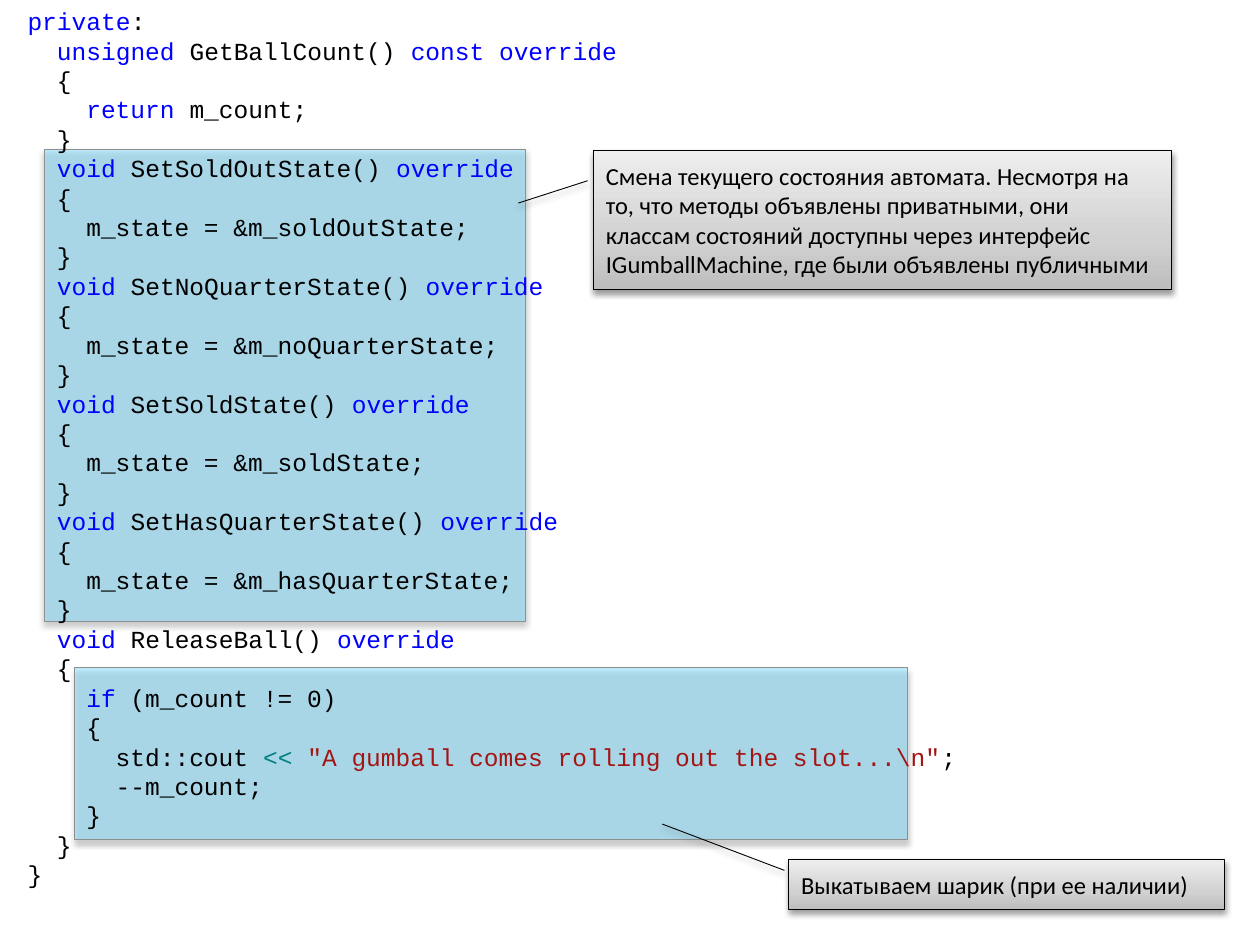
from copy import deepcopy
from dataclasses import dataclass

from lxml import etree
from pptx import Presentation, util as u
from pptx.dml.color import RGBColor
from pptx.enum import shapes, text
from pptx.oxml.ns import qn


@dataclass(frozen=True)
class Theme:
    plain: str = "000000"
    keyword: str = "0000FF"
    operator: str = "008080"
    string: str = "A31515"
    highlight: str = "85DFFF"
    highlight_line: str = "8E8E8E"
    callout_stops: tuple = ((0, "BDBDBD"), (0.35, "D1D1D1"), (1, "EEEEEE"))
    code_font: str = "Courier New"
    note_font: str = "Calibri"
    size: int = 14
    line: float = 0.5


T = Theme()


def add_run(p, content, color=T.plain, font=T.code_font, size=T.size):
    r = p.add_run()
    r.text = content
    r.font.name, r.font.size = font, u.Pt(size)
    r.font.color.rgb = RGBColor.from_string(color)


def add_box(kind, grid, line):
    """Add a shape at (left, top, width, height) in grid cells, with a soft shadow below it."""
    left, top, width, height = grid
    sp = s.shapes.add_shape(kind, int(left * COL), int(top * ROW), int(width * COL), int(height * ROW))
    sp.line.color.rgb = RGBColor.from_string(line)
    sp.line.width = u.Pt(T.line)
    sp.shadow.inherit = False
    effects = sp._element.spPr.find(qn("a:effectLst"))
    shadow = etree.SubElement(effects, qn("a:outerShdw"), blurRad=str(u.Pt(3.5)), dist=str(u.Pt(2)),
                              dir="5400000", rotWithShape="0")
    black = etree.SubElement(shadow, qn("a:srgbClr"), val="000000")
    etree.SubElement(black, qn("a:alpha"), val="38000")
    return sp


prs = Presentation()
prs.slide_width, prs.slide_height = u.Inches(10), u.Inches(7.5)
COL, ROW = prs.slide_width / 100, prs.slide_height / 100
s = prs.slides.add_slide(prs.slide_layouts[6])

# Highlights behind the code
for grid in ((5.9, 70.67, 66.1, 18.13), (3.5, 15.87, 38.2, 49.87)):
    sp = add_box(shapes.MSO_SHAPE.RECTANGLE, grid, T.highlight_line)
    sp.fill.solid()
    sp.fill.fore_color.rgb = RGBColor.from_string(T.highlight)
    color = sp._element.spPr.find(qn("a:solidFill"))[0]
    etree.SubElement(color, qn("a:alpha"), val="50000")

# Code lines: indent level, then (text, colour) runs
K, N = T.keyword, T.plain
code = [
    (0, ("private", K), (":", N)),
    (1, ("unsigned ", K), ("GetBallCount() ", N), ("const override", K)),
    (1, ("{", N)),
    (2, ("return ", K), ("m_count;", N)),
    (1, ("}", N)),
]
for state in ("SoldOut", "NoQuarter", "Sold", "HasQuarter"):
    field = state[0].lower() + state[1:]
    code += [
        (1, ("void ", K), (f"Set{state}State() ", N), ("override", K)),
        (1, ("{", N)),
        (2, (f"m_state = &m_{field}State;", N)),
        (1, ("}", N)),
    ]
code += [
    (1, ("void ", K), ("ReleaseBall() ", N), ("override", K)),
    (1, ("{", N)),
    (2, ("if", K), (" (m_count != 0)", N)),
    (2, ("{", N)),
    (3, ("std::cout ", N), ("<< ", T.operator),
     ('"A gumball comes rolling out the slot...\\n"', T.string), (";", N)),
    (3, ("--m_count;", N)),
    (2, ("}", N)),
    (1, ("}", N)),
    (0, ("}", N)),
]

INDENT = u.Pt(2 * 0.6 * T.size)  # two monospaced characters
tf = s.shapes.add_textbox(int(1.2 * COL), 0, int(92.1 * COL), int(95.6 * ROW)).text_frame
tf.word_wrap = True
tf.auto_size = text.MSO_AUTO_SIZE.SHAPE_TO_FIT_TEXT
for i, (level, *runs) in enumerate(code):
    p = tf.add_paragraph() if i else tf.paragraphs[0]
    p._p.get_or_add_pPr().set("marL", str(level * INDENT))
    for content, color in runs:
        add_run(p, content, color)

# Callouts
callouts = (
    ((47.1, 15.87, 45.9, 14.8), (0.22, -0.01, 0.38, -0.13),
     "Смена текущего состояния автомата. Несмотря на то, что методы объявлены приватными, "
     "они классам состояний доступны через интерфейс IGumballMachine, где были объявлены публичными"),
    ((62.6, 90.93, 34.6, 5.33), (0.22, -0.01, -0.7, -0.29),
     "Выкатываем шарик (при ее наличии)"),
)
for grid, pointer, note in callouts:
    sp = add_box(shapes.MSO_SHAPE.LINE_CALLOUT_1, grid, T.plain)
    for i, value in enumerate(pointer):
        sp.adjustments[i] = value
    sp.fill.gradient()
    sp.fill.gradient_angle = 90
    stop_list = sp._element.spPr.find(qn("a:gradFill")).find(qn("a:gsLst"))
    stop_list.append(deepcopy(stop_list[0]))
    for stop, (position, color) in zip(sp.fill.gradient_stops, T.callout_stops):
        stop.position = position
        stop.color.rgb = RGBColor.from_string(color)
    tf = sp.text_frame
    tf.word_wrap = True
    tf.vertical_anchor = text.MSO_ANCHOR.MIDDLE
    p = tf.paragraphs[0]
    p.alignment = text.PP_ALIGN.LEFT
    add_run(p, note, font=T.note_font)

prs.save("out.pptx")
